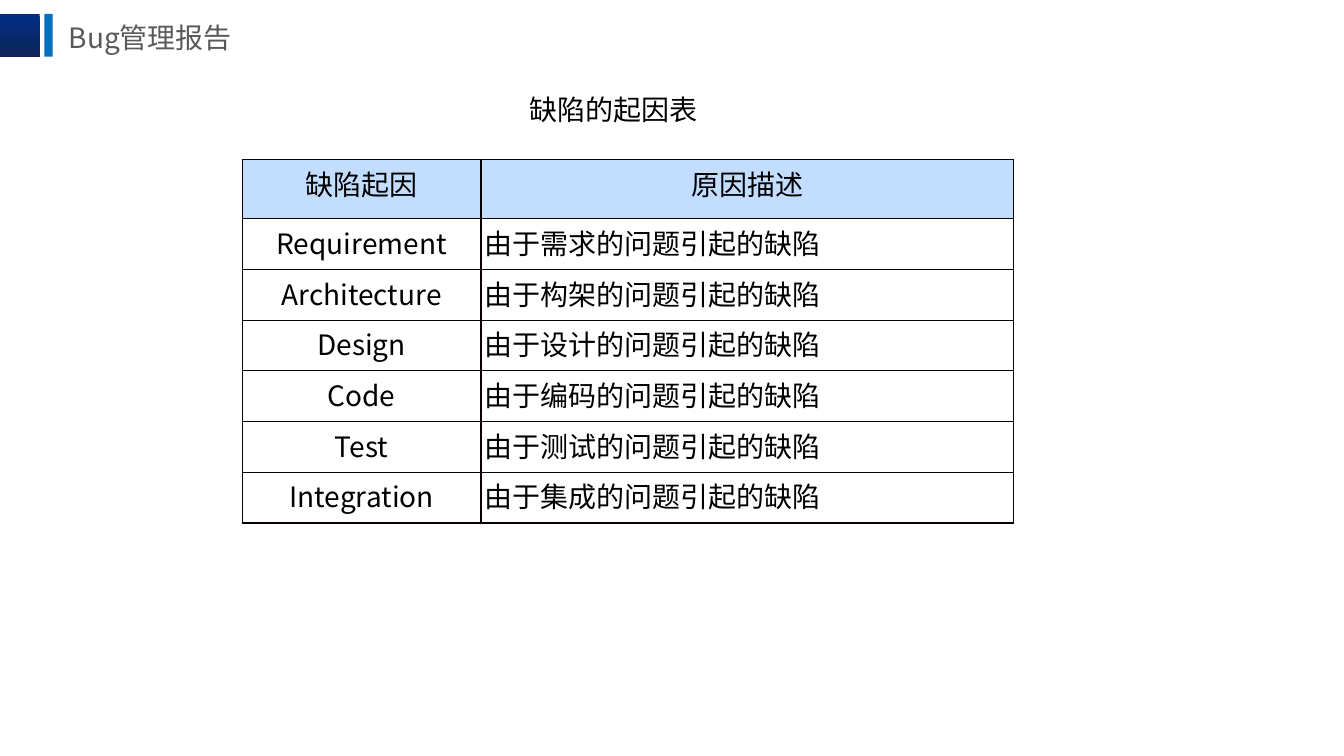
from dataclasses import dataclass

from lxml.etree import SubElement
from pptx import Presentation
from pptx.dml.color import RGBColor
from pptx.enum.shapes import MSO_SHAPE as Shape
from pptx.enum.text import MSO_ANCHOR as Anchor, PP_ALIGN as Align
from pptx.oxml.ns import qn
from pptx.util import Pt

TITLE = "Bug管理报告"
CAPTION = "缺陷的起因表"
CAUSES = [
    ("缺陷起因", "原因描述"),
    ("Requirement", "由于需求的问题引起的缺陷"),
    ("Architecture", "由于构架的问题引起的缺陷"),
    ("Design", "由于设计的问题引起的缺陷"),
    ("Code", "由于编码的问题引起的缺陷"),
    ("Test", "由于测试的问题引起的缺陷"),
    ("Integration", "由于集成的问题引起的缺陷"),
]


@dataclass(frozen=True)
class Theme:
    sans: str = "Noto Sans CJK SC"
    serif: str = "Times New Roman"
    size: int = 20
    title: str = "595959"
    text: str = "000000"
    header: str = "C3DDFF"
    border: str = "080000"
    accent: str = "0070C0"
    block_top: str = "012D86"
    block_bottom: str = "0E2557"


THEME = Theme()
BAR_TOP, BAR_HEIGHT = 10, 30.5
COLUMN_WIDTHS = (170.6, 380.2)
HEADER_HEIGHT, ROW_HEIGHT = 42, 36.25
CELL_MARGIN = 2.2
CAPTION_INDENT = 28


def color(code):
    return RGBColor.from_string(code)


def write(text_frame, text, align, font=THEME.sans, ink=THEME.text):
    text_frame.text = text
    paragraph = text_frame.paragraphs[0]
    paragraph.alignment = align
    for run in paragraph.runs:
        run.font.size = Pt(THEME.size)
        run.font.bold = False
        run.font.color.rgb = color(ink)
        run.font.name = font
        SubElement(run.font._element, qn("a:ea"), typeface=THEME.sans)


def add_bar(slide, left, width):
    bar = slide.shapes.add_shape(
        Shape.RECTANGLE, Pt(left), Pt(BAR_TOP), Pt(width), Pt(BAR_HEIGHT))
    bar.shadow.inherit = False
    bar.line.fill.background()
    return bar


def add_borders(cell):
    properties = cell._tc.get_or_add_tcPr()
    for position, side in enumerate(("lnL", "lnR", "lnT", "lnB")):
        line = properties.makeelement(qn(f"a:{side}"), {"w": str(Pt(1))})
        fill = SubElement(line, qn("a:solidFill"))
        SubElement(fill, qn("a:srgbClr"), val=THEME.border)
        properties.insert(position, line)


def add_header(slide):
    block = add_bar(slide, -0.7, 29)
    block.fill.gradient()
    block.fill.gradient_angle = 270
    shades = (THEME.block_top, THEME.block_bottom)
    for position, (stop, shade) in enumerate(zip(block.fill.gradient_stops, shades)):
        stop.position = position
        stop.color.rgb = color(shade)
    stripe = add_bar(slide, 31.7, 6)
    stripe.fill.solid()
    stripe.fill.fore_color.rgb = color(THEME.accent)

    title = slide.shapes.title
    title.left, title.top, title.width, title.height = Pt(41.8), Pt(4.5), Pt(227), Pt(44)
    title.text_frame.vertical_anchor = Anchor.MIDDLE
    write(title.text_frame, TITLE, Align.LEFT, ink=THEME.title)


def add_caption(slide):
    caption = slide.shapes.add_textbox(Pt(224), Pt(62.6), Pt(400), Pt(31.7))
    caption.text_frame.word_wrap = True
    caption.text_frame.margin_left = Pt(7.2 + CAPTION_INDENT)
    write(caption.text_frame, CAPTION, Align.CENTER, THEME.serif)


def add_cause_table(slide):
    height = HEADER_HEIGHT + ROW_HEIGHT * (len(CAUSES) - 1)
    frame = slide.shapes.add_table(
        len(CAUSES), len(COLUMN_WIDTHS),
        Pt(173), Pt(114.2), Pt(sum(COLUMN_WIDTHS)), Pt(height))
    table = frame.table
    table.first_row = table.horz_banding = False
    for column, width in zip(table.columns, COLUMN_WIDTHS):
        column.width = Pt(width)
    for row_index, texts in enumerate(CAUSES):
        is_header = row_index == 0
        table.rows[row_index].height = Pt(HEADER_HEIGHT if is_header else ROW_HEIGHT)
        for column_index, text in enumerate(texts):
            cell = table.cell(row_index, column_index)
            cell.margin_left = cell.margin_right = Pt(CELL_MARGIN)
            cell.margin_top = cell.margin_bottom = Pt(CELL_MARGIN)
            centred = is_header or column_index == 0
            write(cell.text_frame, text, Align.CENTER if centred else Align.LEFT)
            if is_header:
                cell.fill.solid()
                cell.fill.fore_color.rgb = color(THEME.header)
            else:
                cell.fill.background()
            add_borders(cell)


def main():
    presentation = Presentation()
    presentation.slide_width, presentation.slide_height = Pt(960), Pt(540)
    slide = presentation.slides.add_slide(presentation.slide_layouts[5])
    add_header(slide)
    add_caption(slide)
    add_cause_table(slide)
    presentation.save("out.pptx")


if __name__ == "__main__":
    main()
